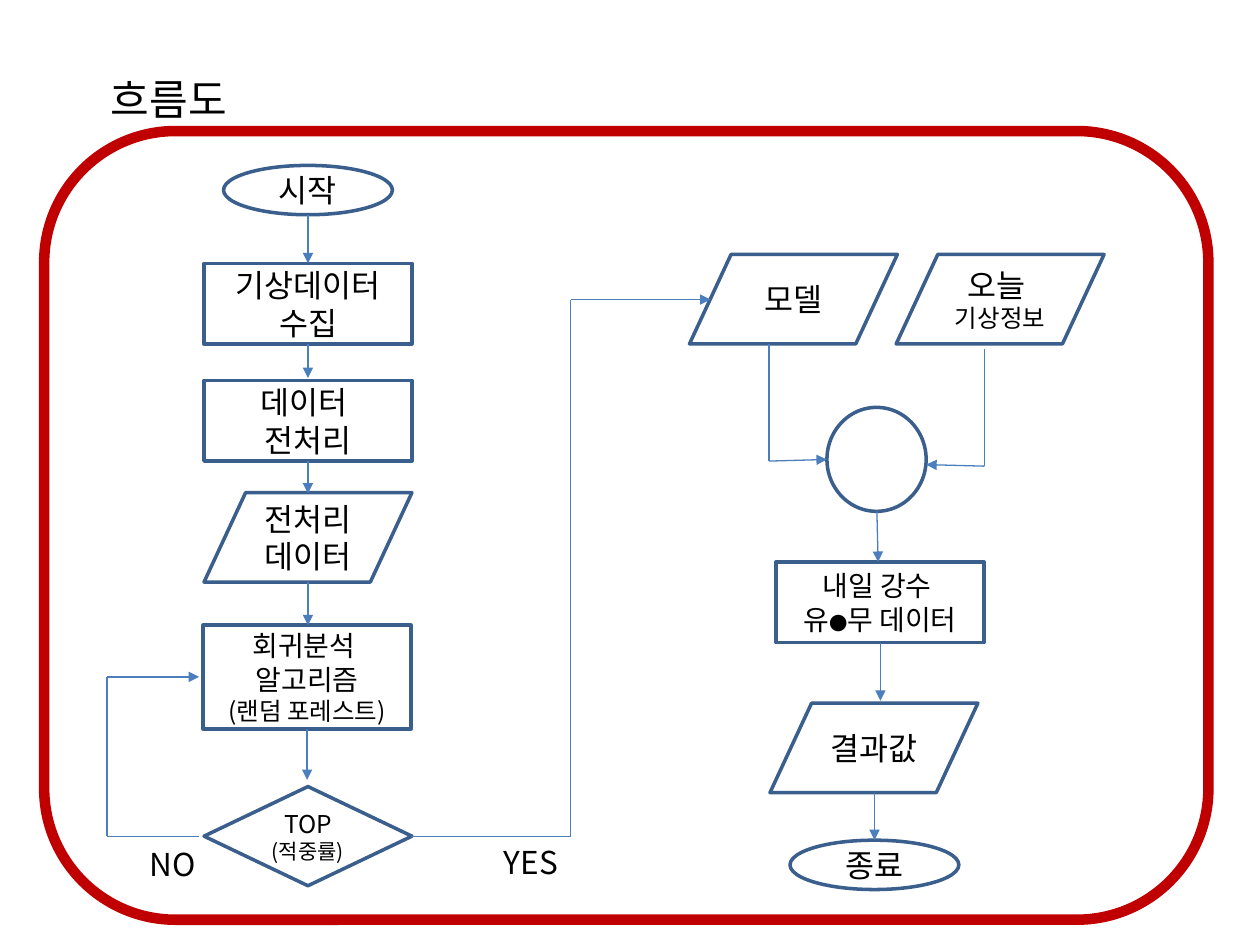
from itertools import pairwise
from lxml.etree import SubElement
from pptx import Presentation
from pptx.dml.color import RGBColor
from pptx.enum.shapes import MSO_CONNECTOR, MSO_SHAPE
from pptx.enum.text import MSO_ANCHOR, MSO_AUTO_SIZE, PP_ALIGN
from pptx.oxml.ns import qn
from pptx.util import Pt

BLACK = RGBColor(0x00, 0x00, 0x00)
RED = RGBColor(0xC0, 0x00, 0x00)
NAVY = RGBColor(0x3A, 0x5F, 0x8C)
BLUE = RGBColor(0x4B, 0x7E, 0xBC)

RECT = MSO_SHAPE.RECTANGLE
OVAL = MSO_SHAPE.OVAL
DATA = MSO_SHAPE.FLOWCHART_DATA
TEST = MSO_SHAPE.FLOWCHART_DECISION

WIDE = 118.8
MID = 176


class Flow:
    """Draws flowchart parts in one style on one slide."""

    font = "Noto Sans CJK KR"

    def __init__(self, slide):
        """Keep the slide to draw on."""
        self.shapes = slide.shapes

    def words(self, frame, paras, align):
        """Fill a text frame with paragraphs of (text, size) runs."""
        frame.word_wrap = True
        for i, runs in enumerate(paras):
            para = frame.add_paragraph() if i else frame.paragraphs[0]
            para.alignment = align
            for text, size in runs:
                run = para.add_run()
                run.text = text
                run.font.size = Pt(size)
                run.font.name = self.font
                run.font.color.rgb = BLACK
                east = SubElement(run._r.get_or_add_rPr(), qn("a:ea"))
                east.set("typeface", self.font)

    def label(self, left, top, width, height, text, size):
        """Add a plain line of text."""
        box = self.shapes.add_textbox(Pt(left), Pt(top), Pt(width), Pt(height))
        self.words(box.text_frame, [[(text, size)]], PP_ALIGN.LEFT)
        box.text_frame.auto_size = MSO_AUTO_SIZE.SHAPE_TO_FIT_TEXT

    def node(self, kind, mid, top, width, height, *paras, color=NAVY, line=2):
        """Add an outlined shape centred on mid."""
        shape = self.shapes.add_shape(
            kind, Pt(mid - width / 2), Pt(top), Pt(width), Pt(height))
        shape.shadow.inherit = False
        shape.fill.background()
        shape.line.color.rgb = color
        shape.line.width = Pt(line)
        shape.text_frame.vertical_anchor = MSO_ANCHOR.MIDDLE
        self.words(shape.text_frame, paras, PP_ALIGN.CENTER)

    def route(self, *stops):
        """Join the stops with lines and put an arrowhead on the last."""
        for start, end in pairwise(stops):
            line = self.shapes.add_connector(
                MSO_CONNECTOR.STRAIGHT, *map(Pt, start + end))
            line.line.color.rgb = BLUE
            line.line.width = Pt(0.75)
            SubElement(line._element.spPr, qn("a:effectLst"))
        tail = SubElement(line._element.spPr.find(qn("a:ln")), qn("a:tailEnd"))
        tail.set("type", "triangle")


def main():
    """Build and save the flowchart slide."""
    deck = Presentation()
    deck.slide_width, deck.slide_height = Pt(720), Pt(540)
    flow = Flow(deck.slides.add_slide(deck.slide_layouts[6]))

    flow.label(56.2, 38.2, 193, 36.3, "흐름도", 24)
    flow.node(MSO_SHAPE.ROUNDED_RECTANGLE, 357.9, 74.9, 665.3, 450.7,
              color=RED, line=6)

    nodes = [
        (OVAL, MID, 94.5, 96.5, 28.2, [("시작", 18)]),
        (RECT, MID, 150.5, WIDE, 46.1, [("기상데이터 수집", 18)]),
        (RECT, MID, 217.4, WIDE, 46.1, [("데이터 ", 18)], [("전처리", 18)]),
        (DATA, MID, 281.5, WIDE, 51.1, [("전처리 데이터", 18)]),
        (RECT, 175.5, 357.3, WIDE, 59.2, [("회귀분석 ", 16)],
         [("알고리즘", 16)], [("(랜덤 포레스트)", 14)]),
        (TEST, MID, 449.5, WIDE, 56.7, [("TOP", 14)], [("(적중률)", 12)]),
        (DATA, 453.4, 145.4, WIDE, 51.1, [("모델", 18)]),
        (DATA, 571.5, 145.4, WIDE, 51.1, [("오늘 ", 18)], [("기상정보", 14)]),
        (OVAL, 500.9, 232.8, 56.7, 59.4),
        (RECT, 502.9, 321.1, WIDE, 46.1, [("내일 강수 ", 16)],
         [("유", 16), ("●", 10.5), ("무 데이터", 16)]),
        (DATA, 499.4, 401.8, WIDE, 51.1, [("결과값", 18)]),
        (OVAL, 499.7, 480.1, 96.5, 28.2, [("종료", 18)]),
    ]
    for item in nodes:
        flow.node(*item)

    drops = [(MID, 123, 150.5), (MID, 196.6, 216), (MID, 263.5, 282),
             (MID, 332.6, 357.3), (175.5, 416.7, 445.7),
             (503.1, 367.2, 400.4), (499.7, 452.9, 480.1)]
    for x, top, end in drops:
        flow.route((x, top), (x, end))

    flow.route((501.1, 292.2), (501.8, 321.1))
    flow.route((113.8, 477.9), (61.2, 477.9), (61.2, 386.8), (113.8, 386.8))
    flow.route((235, 477.9), (326.2, 477.9), (326.2, 171.2), (406, 171.2))
    flow.route((439.4, 196.6), (439.4, 263.5), (472.5, 262.6))
    flow.route((562.5, 199.4), (562.5, 266.4), (529.3, 265.5))

    flow.label(78.5, 479.5, 49, 29, "NO", 18)
    flow.label(280.8, 478, 49, 29, "YES", 18)

    deck.save("out.pptx")


main()
